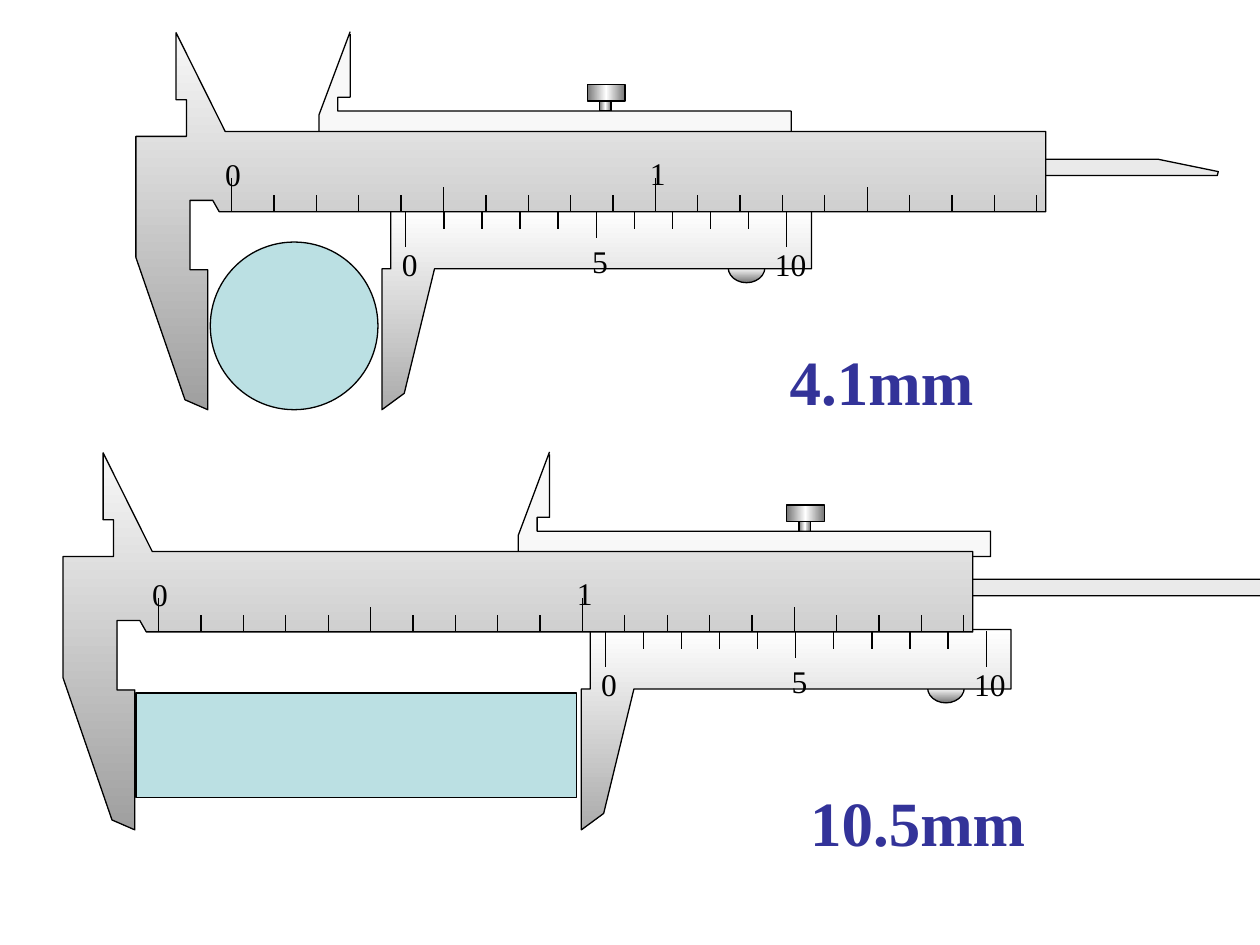
from lxml import etree
from pptx import Presentation
from pptx.dml.color import RGBColor
from pptx.enum.shapes import MSO_CONNECTOR, MSO_SHAPE
from pptx.oxml.ns import qn
from pptx.util import Cm, Pt

RECT = MSO_SHAPE.RECTANGLE
OVAL = MSO_SHAPE.OVAL
LINE = MSO_CONNECTOR.STRAIGHT
DOWN, ACROSS = 270, 0


class Theme:
    font = "Times New Roman"
    ink = "000000"
    rod = "EAEAEA"
    jaw = "F8F8F8"
    sample = "BBE0E3"
    answer = "333399"
    metal = ["767676", "FFFFFF", "767676"]
    beam = ["F8F8F8", "9F9F9F"]
    slider = ["FFFFFF", "ABABAB"]
    digit = 18
    big = 36
    stroke = 0.75


# Outlines in cm: the beam from its left edge, the others from the vernier zero
BEAM = [(0, 2.11), (0, 4.55), (0.99, 7.42), (1.45, 7.62), (1.45, 4.8),
        (1.09, 4.8), (1.09, 3.4), (1.55, 3.4), (1.68, 3.63), (18.34, 3.63),
        (18.34, 2.01), (1.8, 2.01), (0.81, 0.02), (0.81, 1.37),
        (1.02, 1.37), (1.02, 2.11)]
ROD = [(0.03, 2.57), (0.03, 2.9), (16.36, 2.9), (16.38, 2.82), (15.16, 2.57)]
UPPER = [(-1.12, 0), (-1.75, 1.68), (-1.75, 2.11), (7.77, 2.11), (7.77, 1.6),
         (-1.37, 1.6), (-1.37, 1.32), (-1.12, 1.32), (-1.12, 0.05)]
LOWER = [(-0.3, 3.58), (-0.3, 4.78), (-0.48, 4.78), (-0.48, 7.62),
         (-0.03, 7.29), (0.58, 4.78), (8.18, 4.78), (8.18, 3.58)]


class Canvas:
    def __init__(self, slide, theme):
        self.slide = slide
        self.theme = theme
        self.home()

    def home(self):
        """Draw straight on the slide, measured from its corner."""
        self.shapes = self.slide.shapes
        self.move(0, 0)

    def group(self):
        self.shapes = self.slide.shapes.add_group_shape().shapes

    def move(self, x, y):
        self.x, self.y = x, y

    def at(self, x, y):
        return Cm(self.x + x), Cm(self.y + y)

    def paint(self, shape, fill, angle):
        shape.shadow.inherit = False
        shape.line.color.rgb = RGBColor.from_string(self.theme.ink)
        shape.line.width = Pt(self.theme.stroke)
        if isinstance(fill, str):
            shape.fill.solid()
            shape.fill.fore_color.rgb = RGBColor.from_string(fill)
            return
        shape.fill.gradient()
        shape.fill.gradient_angle = angle
        stops = shape._element.spPr.find(qn("a:gradFill")).find(qn("a:gsLst"))
        stops.clear()
        for i, color in enumerate(fill):
            pos = 100000 * i // (len(fill) - 1)
            stop = etree.SubElement(stops, qn("a:gs"), pos=str(pos))
            etree.SubElement(stop, qn("a:srgbClr"), val=color)

    def shape(self, kind, x, y, w, h, fill, angle=DOWN):
        shape = self.shapes.add_shape(kind, *self.at(x, y), Cm(w), Cm(h))
        self.paint(shape, fill, angle)

    def outline(self, points, fill, close=True):
        first, *rest = [self.at(x, y) for x, y in points]
        pen = self.shapes.build_freeform(*first)
        pen.add_line_segments(rest, close=close)
        self.paint(pen.convert_to_shape(), fill, DOWN)

    def tick(self, x, y, length):
        line = self.shapes.add_connector(
            LINE, *self.at(x, y), *self.at(x, y + length))
        line.line.color.rgb = RGBColor.from_string(self.theme.ink)
        line.line.width = Pt(self.theme.stroke)
        etree.SubElement(line._element.spPr, qn("a:effectLst"))

    def scale(self, x, y, span, count, sizes):
        """Ticks at equal gaps; sizes are for tens, fives and units."""
        ten, five, unit = sizes
        for i in range(count):
            size = unit if i % 5 else five if i % 10 else ten
            self.tick(x + span * i / (count - 1), y, size)

    def text(self, words, x, y, w, h, size, color, bold=False, inset=True):
        box = self.shapes.add_textbox(*self.at(x, y), Cm(w), Cm(h))
        frame = box.text_frame
        frame.word_wrap = True
        if not inset:
            frame.margin_left = frame.margin_right = 0
            frame.margin_top = frame.margin_bottom = 0
        frame.text = words
        font = frame.paragraphs[0].runs[0].font
        font.name, font.size, font.bold = self.theme.font, Pt(size), bold
        font.color.rgb = RGBColor.from_string(color)

    def digit(self, words, x, y, w, h):
        self.text(words, x, y, w, h, self.theme.digit, self.theme.ink,
                  inset=False)

    def caliper(self, left, zero, top):
        theme = self.theme
        self.group()

        # Sliding jaw with depth rod, lock screw and thumb grip
        self.move(zero, top)
        self.outline(ROD, theme.rod)
        self.shape(RECT, 3.66, 1.07, 0.76, 0.33, theme.metal, ACROSS)
        self.shape(RECT, 3.91, 1.4, 0.23, 0.2, theme.metal, ACROSS)
        self.outline(UPPER, theme.jaw, close=False)
        self.shape(OVAL, 6.5, 4.45, 0.74, 0.61, theme.metal)
        self.outline(LOWER, theme.slider)

        # Vernier scale
        self.scale(0, 3.61, 7.68, 11, (0.72, 0.55, 0.36))
        self.digit("0", -0.08, 4.29, 0.43, 0.48)
        self.digit("5", 3.76, 4.24, 0.53, 0.51)
        self.digit("10", 7.44, 4.29, 0.69, 0.51)

        # Beam with main scale
        self.move(left, top)
        self.outline(BEAM, theme.beam)
        self.scale(1.93, 3.63, 16.23, 20, (-0.69, -0.51, -0.34))
        self.digit("0", 1.8, 2.49, 0.43, 0.58)
        self.digit("1", 10.36, 2.46, 0.71, 0.48)
        self.move(0, 0)

    def answer(self, words, x, y):
        self.home()
        self.text(words, x, y, 7.19, 1.78, self.theme.big,
                  self.theme.answer, bold=True)


def main():
    deck = Presentation()
    deck.slide_width, deck.slide_height = Cm(25.4), Cm(19.05)
    canvas = Canvas(deck.slides.add_slide(deck.slide_layouts[6]), Theme)

    # Round sample
    canvas.caliper(left=2.74, zero=8.18, top=0.64)
    canvas.shape(OVAL, 4.24, 4.88, 3.38, 3.38, Theme.sample)
    canvas.answer("4.1mm", 15.67, 6.78)

    # Flat sample
    canvas.caliper(left=1.27, zero=12.2, top=9.11)
    canvas.shape(RECT, 2.74, 13.97, 8.89, 2.11, Theme.sample)
    canvas.answer("10.5mm", 16.08, 15.67)

    deck.save("out.pptx")


if __name__ == "__main__":
    main()
